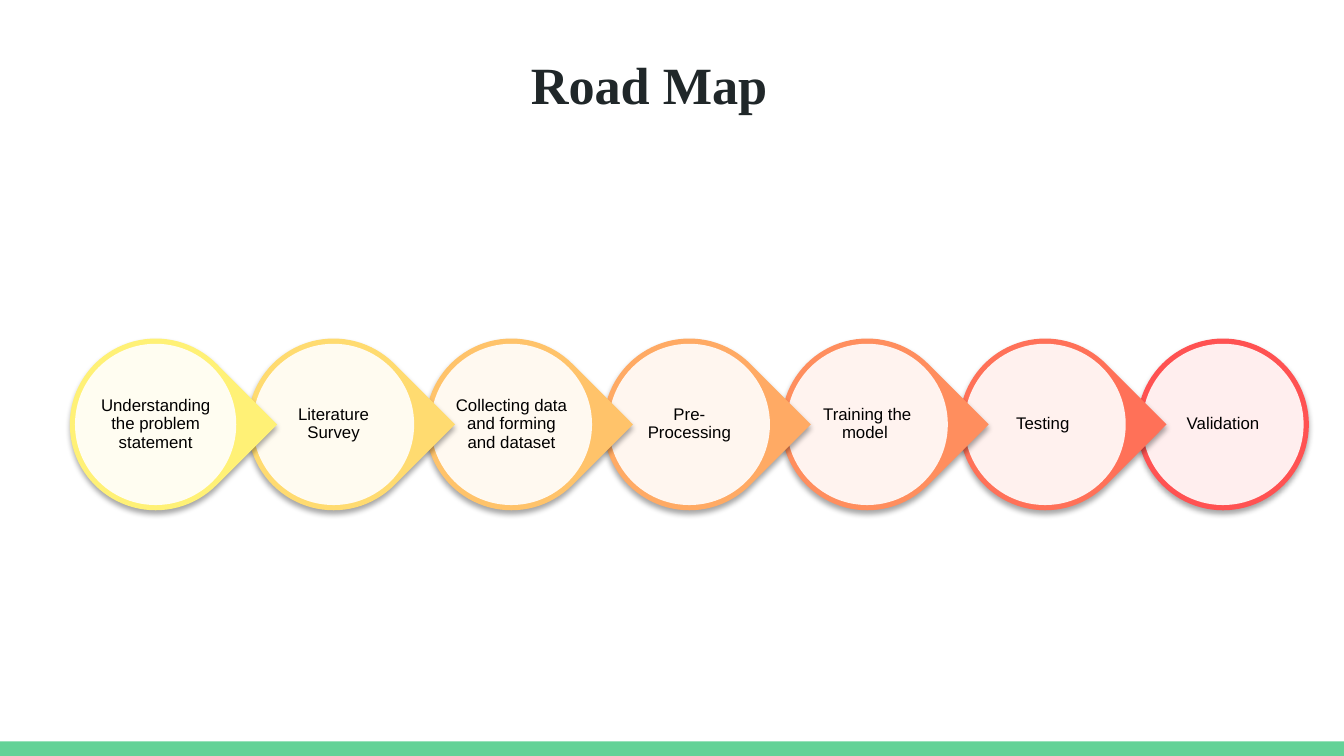
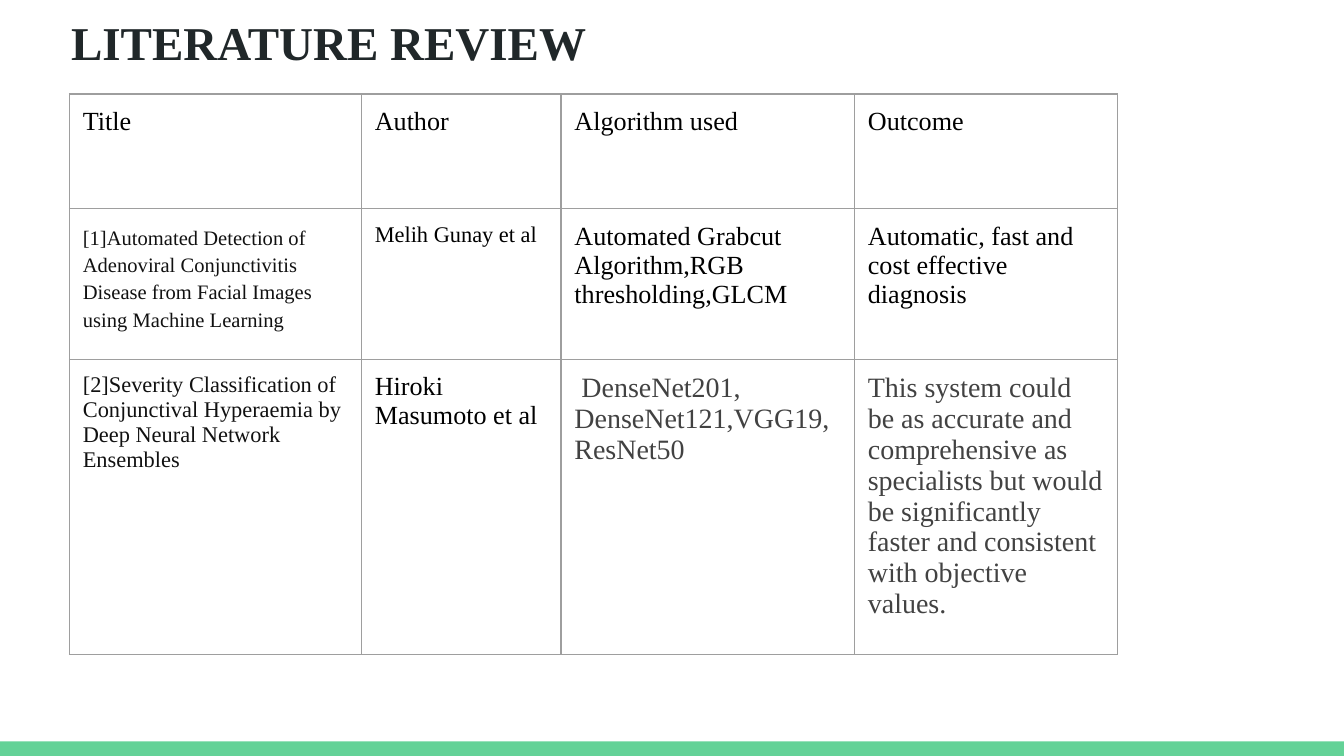
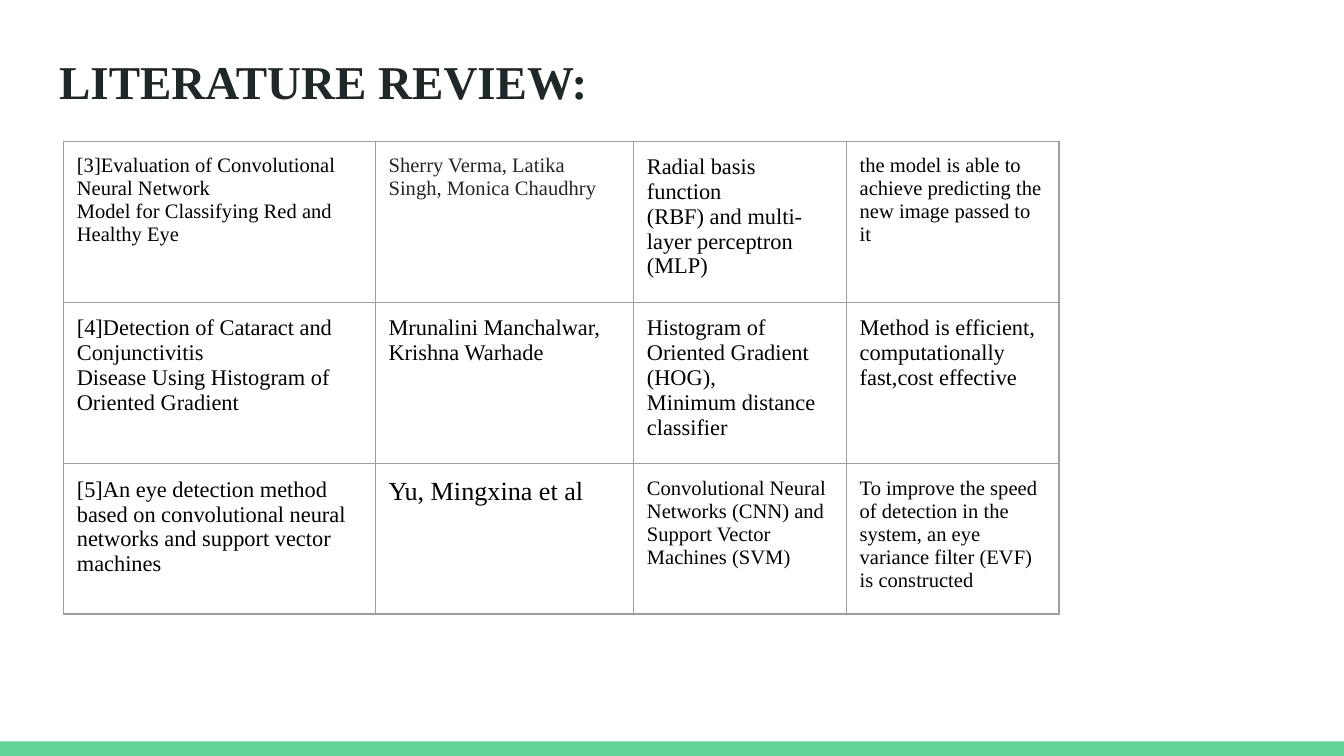
"""Build a road map slide and two literature review slides."""
from dataclasses import dataclass
from typing import NamedTuple

from lxml import etree
from pptx import Presentation
from pptx.dml.color import RGBColor
from pptx.enum import shapes, text
from pptx.oxml.ns import qn
from pptx.shapes.autoshape import Shape
from pptx.slide import Slide
from pptx.table import _Cell
from pptx.text.text import TextFrame, _Paragraph
from pptx.util import Pt

WHITE = RGBColor(0xFF, 0xFF, 0xFF)
BLACK = RGBColor(0x00, 0x00, 0x00)
INK = RGBColor(0x20, 0x27, 0x29)
NEAR_BLACK = RGBColor(0x11, 0x11, 0x11)
GREY = RGBColor(0x42, 0x42, 0x42)
RULE = RGBColor(0x9E, 0x9E, 0x9E)
GREEN = RGBColor(0x63, 0xD2, 0x97)

SERIF, SANS = "Times New Roman", "Arial"
WIDTH, HEIGHT, BAND_HEIGHT = 720, 405, 7.8
INSET = 7.2
DROP_SIZE, DISC_SIZE, LABEL_SIZE = 92, 86.4, 61.4
ROAD_LEFT, ROAD_TOP, ROAD_PITCH = 37.4, 181.4, 95.3


class Step(NamedTuple):
    """One stage of the road map."""
    label: str
    color: RGBColor


class Title(NamedTuple):
    """A slide heading with its place and alignment."""
    wording: str
    left: float
    top: float
    height: float
    size: float
    align: text.PP_ALIGN = text.PP_ALIGN.LEFT


class Entry(NamedTuple):
    """The paragraphs of one table cell and their look."""
    lines: tuple[str, ...]
    size: float
    color: RGBColor = BLACK
    spacing: float = 1.0


@dataclass
class Review:
    """A literature table with its place and measures."""
    left: float
    top: float
    columns: list[float]
    heights: list[float]
    rows: list[list[Entry]]


STEPS = [
    Step("Understanding the problem statement", RGBColor(0xFF, 0xF1, 0x76)),
    Step("Literature Survey", RGBColor(0xFF, 0xDB, 0x70)),
    Step("Collecting data and forming and dataset", RGBColor(0xFF, 0xC3, 0x6A)),
    Step("Pre-Processing", RGBColor(0xFF, 0xAA, 0x64)),
    Step("Training the model ", RGBColor(0xFF, 0x8E, 0x5E)),
    Step("Testing ", RGBColor(0xFF, 0x71, 0x58)),
    Step("Validation", RGBColor(0xFF, 0x52, 0x52)),
]

FIRST_REVIEW = Review(
    37.2, 50.4, [156.4, 107, 157.2, 141], [61.4, 80.6, 146.6],
    [
        [Entry((heading,), 14) for heading in ("Title", "Author", "Algorithm used", "Outcome")],
        [
            Entry(("[1]Automated Detection of Adenoviral Conjunctivitis Disease "
                   "from Facial Images using Machine Learning",), 11, NEAR_BLACK, 1.2),
            Entry(("Melih Gunay et al",), 12),
            Entry(("Automated Grabcut Algorithm,RGB thresholding,GLCM",), 14),
            Entry(("Automatic, fast and cost effective diagnosis",), 14),
        ],
        [
            Entry(("[2]Severity Classification of Conjunctival Hyperaemia by "
                   "Deep Neural Network Ensembles",), 12, NEAR_BLACK),
            Entry(("Hiroki Masumoto et al",), 14),
            Entry((" DenseNet201,", "DenseNet121,VGG19,", "ResNet50"), 15, GREY),
            Entry(("This system could be as accurate and comprehensive as specialists but "
                   "would be significantly faster and consistent with objective values.",),
                  15, GREY),
        ],
    ],
)

SECOND_REVIEW = Review(
    34, 75.6, [167, 138.4, 114, 114], [83, 81.4, 75.6],
    [
        [
            Entry(("[3]Evaluation of Convolutional Neural Network",
                   "Model for Classifying Red and Healthy Eye"), 11),
            Entry(("Sherry Verma, Latika Singh, Monica Chaudhry",), 11, INK),
            Entry(("Radial basis function", "(RBF) and multi-layer perceptron (MLP)"), 12),
            Entry(("the model is able to achieve predicting the new image passed to it",), 11),
        ],
        [
            Entry(("[4]Detection of Cataract and Conjunctivitis",
                   "Disease Using Histogram of Oriented Gradient"), 12),
            Entry(("Mrunalini Manchalwar, Krishna Warhade",), 12),
            Entry(("Histogram of Oriented Gradient (HOG),", "Minimum distance classifier"), 12),
            Entry(("Method is efficient, computationally fast,cost effective",), 12),
        ],
        [
            Entry(("[5]An eye detection method based on convolutional neural networks "
                   "and support vector machines",), 12),
            Entry(("Yu, Mingxina et al",), 14),
            Entry(("Convolutional Neural Networks (CNN) and Support Vector Machines (SVM)",), 11),
            Entry(("To improve the speed of detection in the system, an eye variance "
                   "filter (EVF) is constructed",), 11),
        ],
    ],
)


def add_run(paragraph: _Paragraph, wording: str, size: float, color: RGBColor,
            face: str = SERIF, bold: bool = False) -> None:
    """Append one styled run."""
    run = paragraph.add_run()
    run.text = wording
    run.font.name, run.font.size, run.font.bold = face, Pt(size), bold
    run.font.color.rgb = color


def add_box(slide: Slide, left: float, top: float, width: float, height: float,
            inset: float) -> TextFrame:
    """Add a wrapping text box with even insets and return its frame."""
    frame = slide.shapes.add_textbox(Pt(left), Pt(top), Pt(width), Pt(height)).text_frame
    frame.word_wrap = True
    frame.margin_left = frame.margin_right = Pt(inset)
    frame.margin_top = frame.margin_bottom = Pt(inset)
    return frame


def add_solid(slide: Slide, kind: shapes.MSO_SHAPE, left: float, top: float,
              width: float, height: float, color: RGBColor) -> Shape:
    """Add a filled shape without outline or shadow."""
    solid = slide.shapes.add_shape(kind, Pt(left), Pt(top), Pt(width), Pt(height))
    solid.shadow.inherit = False
    solid.fill.solid()
    solid.fill.fore_color.rgb = color
    solid.line.fill.background()
    return solid


def set_alpha(color_element: etree._Element, percent: int) -> None:
    """Give a colour element an opacity."""
    etree.SubElement(color_element, qn("a:alpha"), val=str(percent * 1000))


def cast_shadow(solid: Shape) -> None:
    """Give a shape a soft shadow straight below."""
    effects = solid.element.spPr.find(qn("a:effectLst"))
    shadow = etree.SubElement(effects, qn("a:outerShdw"), blurRad=str(Pt(3.1)),
                              dist=str(Pt(1.8)), dir="5400000", rotWithShape="0")
    set_alpha(etree.SubElement(shadow, qn("a:srgbClr"), val=str(BLACK)), 35)


def add_step(slide: Slide, step: Step, left: float, last: bool) -> None:
    """Draw one stage as a ring, pointed unless it is the last."""
    kind = shapes.MSO_SHAPE.OVAL if last else shapes.MSO_SHAPE.TEAR
    ring = add_solid(slide, kind, left, ROAD_TOP, DROP_SIZE, DROP_SIZE, step.color)
    ring.rotation = 0 if last else 45
    cast_shadow(ring)

    rim = (DROP_SIZE - DISC_SIZE) / 2
    disc = add_solid(slide, shapes.MSO_SHAPE.OVAL, left + rim, ROAD_TOP + rim,
                     DISC_SIZE, DISC_SIZE, WHITE)
    set_alpha(disc.element.spPr.find(qn("a:solidFill"))[0], 90)

    gap = (DROP_SIZE - LABEL_SIZE) / 2
    label = add_box(slide, left + gap, ROAD_TOP + gap, LABEL_SIZE, LABEL_SIZE, 0.7)
    label.vertical_anchor = text.MSO_ANCHOR.MIDDLE
    paragraph = label.paragraphs[0]
    paragraph.alignment, paragraph.line_spacing = text.PP_ALIGN.CENTER, 0.9
    add_run(paragraph, step.label, 9, BLACK, SANS)


def add_road_map(slide: Slide) -> None:
    """Draw the stages from last to first so that each point overlaps the next ring."""
    for index, step in reversed(list(enumerate(STEPS))):
        add_step(slide, step, ROAD_LEFT + index * ROAD_PITCH, index == len(STEPS) - 1)


def rule_cell(cell: _Cell) -> None:
    """Draw thin rules on all four sides of a cell."""
    properties = cell._tc.get_or_add_tcPr()
    for side in "LRTB":
        rule = etree.SubElement(properties, qn(f"a:ln{side}"), w=str(Pt(0.75)))
        fill = etree.SubElement(rule, qn("a:solidFill"))
        etree.SubElement(fill, qn("a:srgbClr"), val=str(RULE))


def fill_cell(cell: _Cell, entry: Entry) -> None:
    """Write an entry into a ruled, unfilled cell."""
    rule_cell(cell)
    cell.fill.background()
    cell.margin_left = cell.margin_right = Pt(INSET)
    cell.margin_top = cell.margin_bottom = Pt(INSET)
    frame = cell.text_frame
    for index, line in enumerate(entry.lines):
        paragraph = frame.add_paragraph() if index else frame.paragraphs[0]
        paragraph.line_spacing = entry.spacing
        add_run(paragraph, line, entry.size, entry.color)


def add_review(slide: Slide, review: Review) -> None:
    """Add a literature table."""
    table = slide.shapes.add_table(
        len(review.rows), len(review.columns), Pt(review.left), Pt(review.top),
        Pt(sum(review.columns)), Pt(sum(review.heights))).table
    table.first_row = table.horz_banding = False
    for column, width in zip(table.columns, review.columns):
        column.width = Pt(width)
    for row, height, entries in zip(table.rows, review.heights, review.rows):
        row.height = Pt(height)
        for cell, entry in zip(row.cells, entries):
            fill_cell(cell, entry)


def add_slide(deck: Presentation, title: Title) -> Slide:
    """Add a slide with the footer band and a title."""
    slide = deck.slides.add_slide(deck.slide_layouts[6])
    add_solid(slide, shapes.MSO_SHAPE.RECTANGLE, 0, HEIGHT - BAND_HEIGHT,
              WIDTH, BAND_HEIGHT, GREEN)
    heading = add_box(slide, title.left, title.top, 671, title.height, INSET)
    heading.paragraphs[0].alignment = title.align
    add_run(heading.paragraphs[0], title.wording, title.size, INK, bold=True)
    return slide


def main() -> None:
    """Build and save the deck."""
    deck = Presentation()
    deck.slide_width, deck.slide_height = Pt(WIDTH), Pt(HEIGHT)
    add_road_map(add_slide(deck, Title("Road Map", 12.2, 21, 72, 28, text.PP_ALIGN.CENTER)))
    add_review(add_slide(deck, Title("LITERATURE REVIEW", 31, 0, 45, 25.2)), FIRST_REVIEW)
    add_review(add_slide(deck, Title("LITERATURE REVIEW:", 24.6, 21, 45, 25.2)), SECOND_REVIEW)
    deck.save("out.pptx")


if __name__ == "__main__":
    main()
